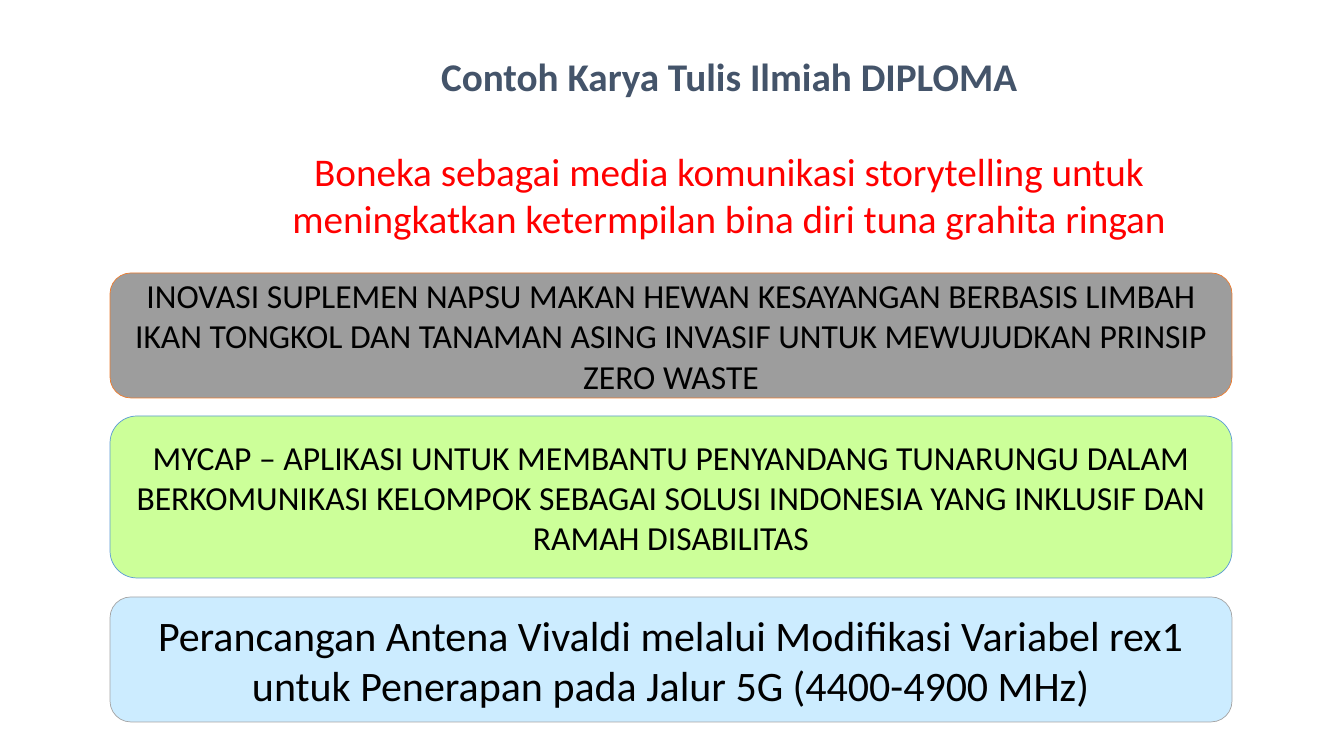
from pptx import Presentation
from pptx.dml.color import RGBColor
from pptx.enum.shapes import MSO_SHAPE
from pptx.enum.text import MSO_ANCHOR, MSO_AUTO_SIZE, PP_ALIGN
from pptx.util import Emu, Pt

SCALE = 914400 / 100.8


def px(n):
    return Emu(round(n * SCALE))


def color(code):
    return RGBColor.from_string(code)


class Deck:
    font = "Calibri"

    def __init__(self, wide, high):
        self.prs = Presentation()
        self.prs.slide_width, self.prs.slide_height = px(wide), px(high)
        self.slide = self.prs.slides.add_slide(self.prs.slide_layouts[5])

    def set_text(self, shape, text, size, ink, bold=False, anchor=MSO_ANCHOR.TOP):
        """Fill a shape with centred text, one paragraph per line."""
        frame = shape.text_frame
        frame.text = text
        frame.word_wrap = True
        frame.auto_size = MSO_AUTO_SIZE.NONE
        frame.vertical_anchor = anchor
        for para in frame.paragraphs:
            para.alignment = PP_ALIGN.CENTER
            font = para.font
            font.name, font.size, font.bold = self.font, Pt(size), bold
            font.color.rgb = color(ink)

    def title(self, text, box, size, ink):
        shape = self.slide.shapes.title
        shape.left, shape.top, shape.width, shape.height = map(px, box)
        self.set_text(shape, text, size, ink, bold=True)

    def label(self, text, box, size, ink):
        shape = self.slide.shapes.add_textbox(*map(px, box))
        self.set_text(shape, text, size, ink)

    def panel(self, text, box, size, fill, edge):
        shape = self.slide.shapes.add_shape(MSO_SHAPE.ROUNDED_RECTANGLE, *map(px, box))
        shape.shadow.inherit = False
        shape.fill.solid()
        shape.fill.fore_color.rgb = color(fill)
        shape.line.color.rgb = color(edge)
        shape.line.width = Pt(0.5)
        self.set_text(shape, text, size, "000000", anchor=MSO_ANCHOR.MIDDLE)


PANELS = [
    (273, 125, 24, "9D9D9D", "ED7D31",
     "INOVASI SUPLEMEN NAPSU MAKAN HEWAN KESAYANGAN BERBASIS LIMBAH IKAN TONGKOL "
     "DAN TANAMAN ASING INVASIF UNTUK MEWUJUDKAN PRINSIP ZERO WASTE"),
    (416, 162, 24, "CCFF99", "5B9BD5",
     "MYCAP – APLIKASI UNTUK MEMBANTU PENYANDANG TUNARUNGU DALAM BERKOMUNIKASI "
     "KELOMPOK SEBAGAI SOLUSI INDONESIA YANG INKLUSIF DAN\nRAMAH DISABILITAS"),
    (597, 125, 30, "CCECFF", "A5A5A5",
     "Perancangan Antena Vivaldi melalui Modifikasi Variabel rex1 "
     "untuk Penerapan pada Jalur 5G (4400-4900 MHz)"),
]


def main():
    deck = Deck(1344, 756)
    deck.title("Contoh Karya Tulis Ilmiah DIPLOMA", (225, 47, 1008, 58), 28, "44546A")
    deck.label("Boneka sebagai media komunikasi storytelling untuk "
               "meningkatkan ketermpilan bina diri tuna grahita ringan",
               (225, 142, 1008, 106), 28, "FF0000")
    for top, high, size, fill, edge, text in PANELS:
        deck.panel(text, (110, top, 1122, high), size, fill, edge)
    deck.prs.save("out.pptx")


if __name__ == "__main__":
    main()
